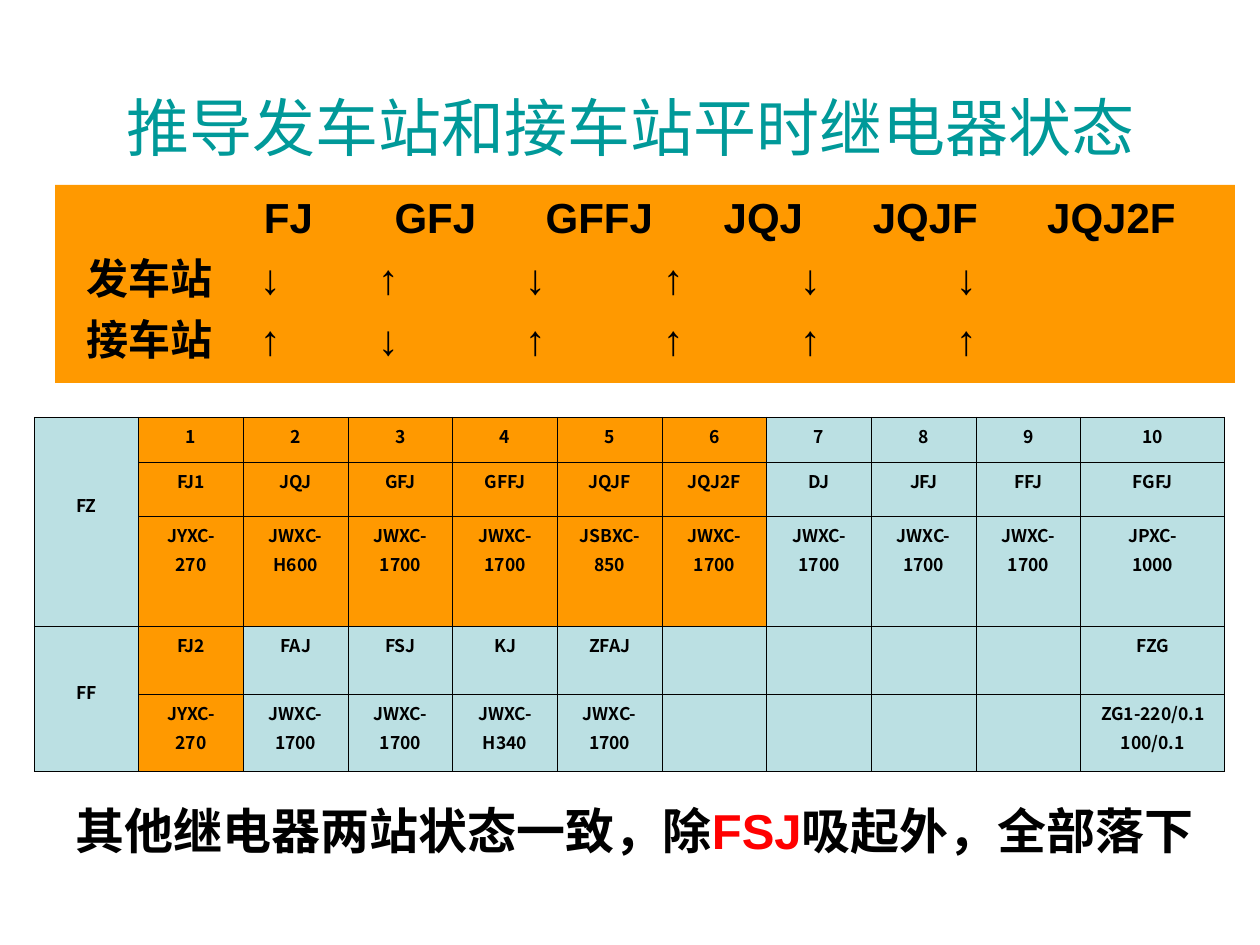
from lxml import etree
from pptx import Presentation
from pptx.dml.color import RGBColor
from pptx.enum.shapes import MSO_SHAPE
from pptx.enum.text import MSO_ANCHOR, PP_ALIGN
from pptx.oxml.ns import qn
from pptx.util import Pt

RECT = MSO_SHAPE.RECTANGLE
TOP, MIDDLE = MSO_ANCHOR.TOP, MSO_ANCHOR.MIDDLE
LEFT, CENTER = PP_ALIGN.LEFT, PP_ALIGN.CENTER
SCALE = 914400 / 126
ORANGE, BLUE, TEAL, BLACK, RED = "FF9900", "BBE0E3", "009999", "000000", "FF0000"
ARIAL, NOTO = "Arial", "Noto Sans CJK SC"

LABEL = 19
HEADS = [221, 368, 532, 696, 858, 1044]
ARROWS = [203, 321, 468, 606, 743, 899]
STATES = [
    (["", "FJ", "GFJ", "GFFJ", "JQJ", "JQJF", "JQJ2F"], HEADS),
    (["发车站", *"↓↑↓↑↓↓"], ARROWS),
    (["接车站", *"↑↓↑↑↑↑"], ARROWS),
]

ROWS = [45, 54, 110, 68, 77]
RELAYS = [
    ["FZ", "1", "2", "3", "4", "5", "6", "7", "8", "9", "10"],
    ["", "FJ1", "JQJ", "GFJ", "GFFJ", "JQJF", "JQJ2F", "DJ", "JFJ", "FFJ", "FGFJ"],
    ["", "JYXC-\n270", "JWXC-\nH600", "JWXC-\n1700", "JWXC-\n1700", "JSBXC-\n850",
     "JWXC-\n1700", "JWXC-\n1700", "JWXC-\n1700", "JWXC-\n1700", "JPXC-\n1000"],
    ["FF", "FJ2", "FAJ", "FSJ", "KJ", "ZFAJ", "", "", "", "", "FZG"],
    ["", "JYXC-\n270", "JWXC-\n1700", "JWXC-\n1700", "JWXC-\nH340", "JWXC-\n1700",
     "", "", "", "", "ZG1-220/0.1\n100/0.1"],
]
GROUPS = [(0, 2, 75), (3, 4, 53)]
LIT = [6, 6, 6, 1, 1]


def px(n):
    return round(n * SCALE)


def rgb(code):
    return RGBColor.from_string(code)


def add_run(para, text, size, color=BLACK, bold=True, face=ARIAL):
    run = para.add_run()
    run.text = text
    for key, value in {"name": face, "size": Pt(size), "bold": bold}.items():
        setattr(run.font, key, value)
    run.font.color.rgb = rgb(color)
    etree.SubElement(run.font._element, qn("a:ea"), typeface=face)


def add_line(slide, box, runs):
    frame = slide.shapes.add_textbox(*map(px, box)).text_frame
    frame.word_wrap = True
    frame.vertical_anchor = MIDDLE
    para = frame.paragraphs[0]
    para.alignment = CENTER
    for run in runs:
        add_run(para, *run)


def set_tabs(para, stops):
    tabs = etree.SubElement(para._p.get_or_add_pPr(), qn("a:tabLst"))
    for pos, kind in stops:
        etree.SubElement(tabs, qn("a:tab"), pos=str(px(pos)), algn=kind)


def add_panel(slide, box):
    panel = slide.shapes.add_shape(RECT, *map(px, box))
    panel.shadow.inherit = False
    panel.fill.solid()
    panel.fill.fore_color.rgb = rgb(ORANGE)
    panel.line.fill.background()
    frame = panel.text_frame
    frame.vertical_anchor = TOP
    for i, (words, stops) in enumerate(STATES):
        para = frame.add_paragraph() if i else frame.paragraphs[0]
        para.alignment = LEFT
        para.space_before = Pt(6)
        set_tabs(para, [(LABEL, "l")] + [(stop, "ctr") for stop in stops])
        add_run(para, "\t" + "\t".join(words), 24)


def add_edges(cell):
    props = cell._tc.get_or_add_tcPr()
    for side in ("lnL", "lnR", "lnT", "lnB"):
        edge = etree.SubElement(props, qn("a:" + side), w=str(Pt(0.23)))
        fill = etree.SubElement(edge, qn("a:solidFill"))
        etree.SubElement(fill, qn("a:srgbClr"), val=BLACK)


def fill_cell(cell, text, color):
    add_edges(cell)
    cell.fill.solid()
    cell.fill.fore_color.rgb = rgb(color)
    if not text:
        return
    for i, line in enumerate(text.split("\n")):
        frame = cell.text_frame
        para = frame.add_paragraph() if i else frame.paragraphs[0]
        para.alignment = CENTER
        para.space_before = Pt(2.5)
        add_run(para, line, 10, face=NOTO)


def add_grid(slide, box):
    count = len(RELAYS[0])
    grid = slide.shapes.add_table(len(ROWS), count, *map(px, box)).table
    for i, col in enumerate(grid.columns):
        col.width = px(1047 / 10 if i < count - 1 else 144)
    for row, high in zip(grid.rows, ROWS):
        row.height = px(high)
    for r, words in enumerate(RELAYS):
        for c, text in enumerate(words):
            fill_cell(grid.cell(r, c), text, ORANGE if 1 <= c <= LIT[r] else BLUE)
    for first, last, inset in GROUPS:
        head = grid.cell(first, 0)
        head.merge(grid.cell(last, 0))
        head.margin_top = px(inset)


def main():
    deck = Presentation()
    deck.slide_width, deck.slide_height = px(1260), px(945)
    slide = deck.slides.add_slide(deck.slide_layouts[6])
    add_line(slide, (64, 76, 1134, 100),
             [("推导发车站和接车站平时继电器状态", 36, TEAL, False)])
    add_panel(slide, (55, 185, 1180, 198))
    add_grid(slide, (34, 417, 1191, 354))
    add_line(slide, (34, 780, 1201, 100),
             [("其他继电器两站状态一致，除", 28), ("FSJ", 28, RED), ("吸起外，全部落下", 28)])
    deck.save("out.pptx")


if __name__ == "__main__":
    main()
